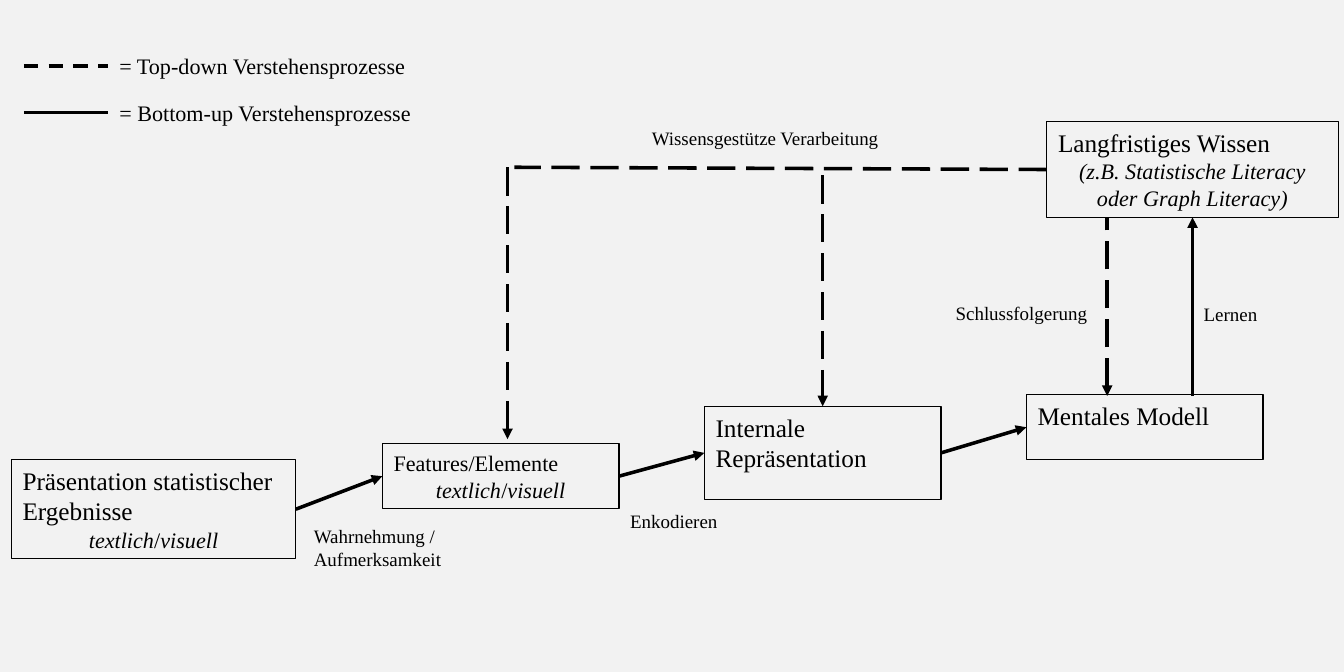
from dataclasses import dataclass

from lxml.etree import SubElement
from pptx import Presentation
from pptx.dml.color import RGBColor
from pptx.enum.dml import MSO_LINE_DASH_STYLE as Dash
from pptx.enum.shapes import MSO_CONNECTOR as Conn, MSO_SHAPE as Shape
from pptx.enum.text import MSO_ANCHOR as Anchor, PP_ALIGN as Align
from pptx.oxml.ns import qn
from pptx.util import Inches, Pt

TOP, LEFT, RIGHT = 0, 1, 3  # connection sites of a rectangle
CM_PER_INCH = 2.54


@dataclass(frozen=True)
class Theme:
    font: str = "Times New Roman"
    ink: RGBColor = RGBColor(0x00, 0x00, 0x00)
    paper: RGBColor = RGBColor(0xF2, 0xF2, 0xF2)
    title: int = 16
    body: int = 14
    label: int = 12
    outline: float = 0.75
    arrow: float = 2.25


def add_text(p, text, *, theme, size, italic=False):
    r = p.add_run()
    r.text = text
    f = r.font
    f.name, f.size, f.italic = theme.font, Pt(size), italic
    f.color.rgb = theme.ink


class Diagram:
    def __init__(self, slide, theme):
        self.slide, self.theme = slide, theme
        fill = slide.background.fill
        fill.solid()
        fill.fore_color.rgb = theme.paper

    def paragraph(self, p, runs, size, align=Align.LEFT):
        p.alignment = align
        for text, italic in runs:
            add_text(p, text, theme=self.theme, size=size, italic=italic)

    def box(self, x, y, w, h, title, detail=(), size=None):
        """Outlined box: a title and, if given, a centred detail line."""
        t = self.theme
        sp = self.slide.shapes.add_shape(
            Shape.RECTANGLE, Inches(x), Inches(y), Inches(w), Inches(h))
        sp.shadow.inherit = False
        sp.fill.background()
        sp.line.color.rgb, sp.line.width = t.ink, Pt(t.outline)
        tf = sp.text_frame
        tf.word_wrap, tf.vertical_anchor = True, Anchor.TOP
        self.paragraph(tf.paragraphs[0], [(title, False)], size or t.title)
        if detail:
            self.paragraph(tf.add_paragraph(), detail, t.body, Align.CENTER)
        return sp

    def label(self, x, y, w, h, text, size=None, wrap=True):
        tb = self.slide.shapes.add_textbox(
            Inches(x), Inches(y), Inches(w), Inches(h))
        tf = tb.text_frame
        tf.word_wrap = wrap
        self.paragraph(tf.paragraphs[0], [(text, False)], size or self.theme.label)

    def line(self, start=(0, 0), end=(0, 0), dash=None, arrow=None,
             begin_at=None, end_at=None):
        """Line; arrow is headEnd (at start) or tailEnd (at end)."""
        c = self.slide.shapes.add_connector(
            Conn.STRAIGHT, *(Inches(v) for v in (*start, *end)))
        if begin_at:
            c.begin_connect(*begin_at)
        if end_at:
            c.end_connect(*end_at)
        c.line.color.rgb, c.line.width = self.theme.ink, Pt(self.theme.arrow)
        if dash:
            c.line.dash_style = dash
        if arrow:
            ln = c._element.spPr.find(qn("a:ln"))
            SubElement(ln, qn(f"a:{arrow}"), type="triangle")
        SubElement(c._element.spPr, qn("a:effectLst"))


def main():
    # Slide of 30 by 15 cm
    prs = Presentation()
    prs.slide_width = Inches(30 / CM_PER_INCH)
    prs.slide_height = Inches(15 / CM_PER_INCH)
    theme = Theme()
    d = Diagram(prs.slides.add_slide(prs.slide_layouts[6]), theme)

    # Stages of understanding
    medium = [("textlich", True), ("/", False), ("visuell", True)]
    results = d.box(0.1, 4.04, 2.5, 0.87,
                    "Präsentation statistischer Ergebnisse", medium)
    features = d.box(3.36, 3.9, 2.08, 0.57, "Features/Elemente", medium, theme.body)
    internal = d.box(6.19, 3.57, 2.08, 0.82, "Internale Repräsentation")
    model = d.box(9.02, 3.47, 2.08, 0.57, "Mentales Modell")
    knowledge = d.box(9.2, 1.07, 2.56, 0.84, "Langfristiges Wissen",
                      [("(z.B. Statistische Literacy oder Graph Literacy)", True)])

    # Bottom-up: from each stage to the next, then learning
    stages = [results, features, internal, model]
    for a, b in zip(stages, stages[1:]):
        d.line(begin_at=(a, RIGHT), end_at=(b, LEFT), arrow="tailEnd")
    d.line((10.48, 3.48), (10.48, 1.91), arrow="tailEnd")

    # Top-down: from knowledge back to the stages
    d.line((9.73, 3.48), (9.73, 1.91), Dash.LONG_DASH, "headEnd")
    d.line(end=(4.52, 1.47), dash=Dash.LONG_DASH, begin_at=(knowledge, LEFT))
    d.line((4.46, 1.47), (4.46, 3.86), Dash.LONG_DASH, "tailEnd")
    d.line((7.23, 1.54), dash=Dash.LONG_DASH, arrow="tailEnd",
           end_at=(internal, TOP))

    # Process labels
    for x, y, w, h, text in [
        (2.66, 4.56, 1.86, 0.5, "Wahrnehmung / Aufmerksamkeit"),
        (5.44, 4.43, 1.86, 0.3, "Enkodieren"),
        (5.63, 1.06, 2.46, 0.3, "Wissensgestütze Verarbeitung"),
        (8.3, 2.6, 1.46, 0.3, "Schlussfolgerung"),
        (10.48, 2.61, 1.04, 0.3, "Lernen"),
    ]:
        d.label(x, y, w, h, text)

    # Legend
    for y, dash, text in [
        (0.58, Dash.DASH, "= Top-down Verstehensprozesse"),
        (0.99, None, "= Bottom-up Verstehensprozesse"),
    ]:
        d.line((0.21, y), (0.95, y), dash)
        d.label(0.95, y - 0.17, 3.0, 0.34, text, theme.body, wrap=False)

    prs.save("out.pptx")


if __name__ == "__main__":
    main()
